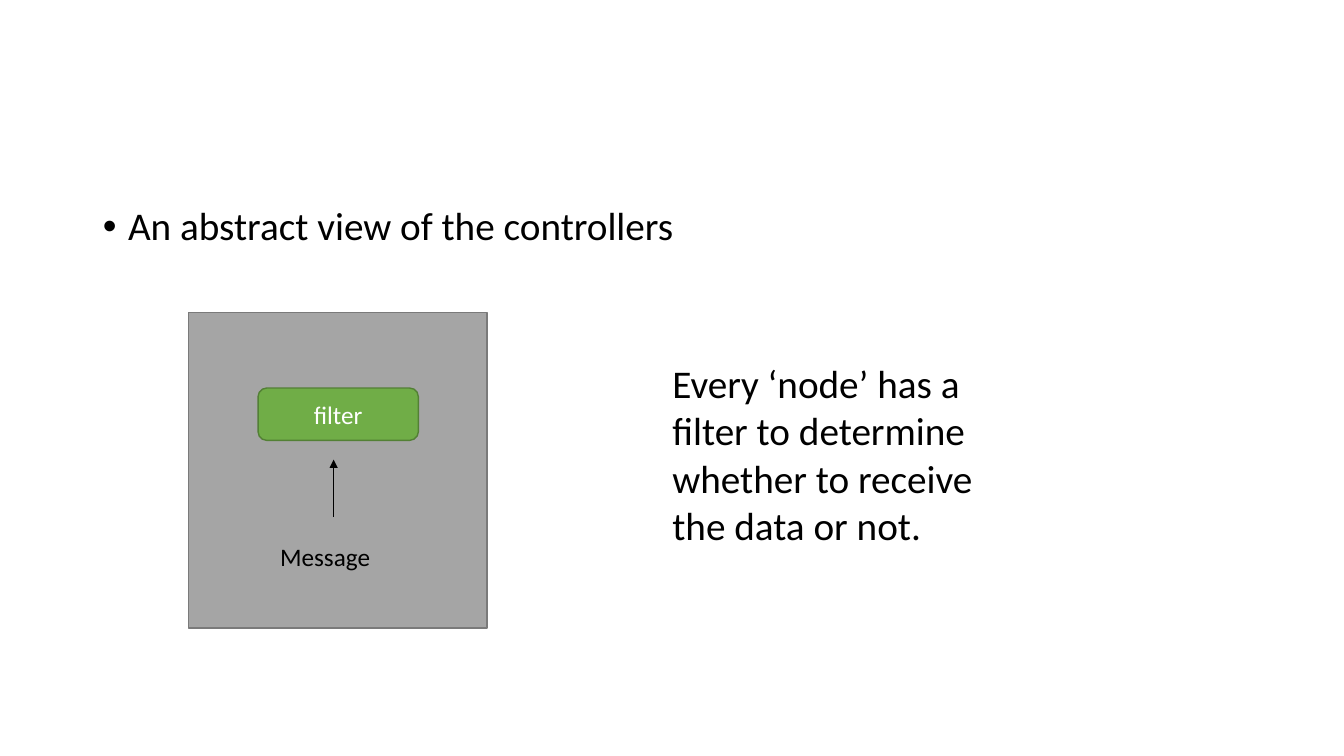
from dataclasses import dataclass

from lxml.etree import SubElement
from pptx import Presentation
from pptx.dml.color import RGBColor
from pptx.enum.shapes import MSO_CONNECTOR, MSO_SHAPE
from pptx.enum.text import MSO_ANCHOR, MSO_AUTO_SIZE, PP_ALIGN
from pptx.oxml.ns import qn
from pptx.slide import Slide
from pptx.text.text import TextFrame
from pptx.util import Inches, Pt

WIDE, HIGH = 13.33, 7.5
FONT = "Calibri"
HUES = {
    "ink": "000000",
    "pale": "FFFFFF",
    "node": "A5A5A5",
    "edge": "7A7A7A",
    "green": "70AD47",
    "rim": "538035",
}


@dataclass
class Area:
    left: float
    top: float
    width: float
    height: float

    def place(self) -> tuple[int, int, int, int]:
        return (across(self.left), down(self.top),
                across(self.width), down(self.height))


@dataclass
class Block:
    area: Area
    kind: MSO_SHAPE
    fill: str
    line: str
    text: str = ""


@dataclass
class Label:
    area: Area
    text: str
    size: int


BODY = Label(Area(6.9, 26.67, 86.27, 63.47),
             "An abstract view of the controllers", 28)
NODE = Block(Area(14.03, 41.33, 22.2, 41.73), MSO_SHAPE.RECTANGLE,
             "node", "edge")
FILTER = Block(Area(19.2, 51.33, 11.93, 6.93), MSO_SHAPE.ROUNDED_RECTANGLE,
               "green", "rim", "filter")
LABELS = [
    Label(Area(20.1, 70.93, 12.08, 5.33), "Message", 18),
    Label(Area(49.29, 46.93, 26.71, 30.53),
          "Every ‘node’ has a filter to determine whether to receive "
          "the data or not.", 28),
]


def across(share: float) -> int:
    return Inches(WIDE * share / 100)


def down(share: float) -> int:
    return Inches(HIGH * share / 100)


def color(name: str) -> RGBColor:
    return RGBColor.from_string(HUES[name])


def write(frame: TextFrame, text: str, size: int, hue: str = "ink") -> None:
    frame.text = text
    frame.word_wrap = True
    font = frame.paragraphs[0].runs[0].font
    font.name, font.size = FONT, Pt(size)
    font.color.rgb = color(hue)


def add_body(slide: Slide, label: Label) -> None:
    title = slide.shapes.title
    title.element.getparent().remove(title.element)
    body = slide.placeholders[1]
    body.left, body.top, body.width, body.height = label.area.place()
    frame = body.text_frame
    write(frame, label.text, label.size)
    frame.auto_size = MSO_AUTO_SIZE.NONE
    para = frame.paragraphs[0]
    para.line_spacing, para.space_before = 0.9, Pt(10)
    props = para._p.get_or_add_pPr()
    props.set("marL", str(Inches(0.25)))
    props.set("indent", str(-Inches(0.25)))
    SubElement(props, qn("a:buFont"), typeface="Arial")
    SubElement(props, qn("a:buChar"), char="•")


def add_block(slide: Slide, block: Block) -> None:
    shape = slide.shapes.add_shape(block.kind, *block.area.place())
    shape.shadow.inherit = False
    shape.fill.solid()
    shape.fill.fore_color.rgb = color(block.fill)
    shape.line.color.rgb = color(block.line)
    shape.line.width = Pt(1)
    if block.text:
        frame = shape.text_frame
        write(frame, block.text, 18, "pale")
        frame.vertical_anchor = MSO_ANCHOR.MIDDLE
        frame.paragraphs[0].alignment = PP_ALIGN.CENTER


def add_label(slide: Slide, label: Label) -> None:
    box = slide.shapes.add_textbox(*label.area.place())
    write(box.text_frame, label.text, label.size)
    box.text_frame.auto_size = MSO_AUTO_SIZE.SHAPE_TO_FIT_TEXT


def add_arrow(slide: Slide, left: float, start: float, end: float) -> None:
    arrow = slide.shapes.add_connector(
        MSO_CONNECTOR.STRAIGHT, across(left), down(start),
        across(left), down(end))
    arrow.line.color.rgb = color("ink")
    arrow.line.width = Pt(0.5)
    SubElement(arrow.line._get_or_add_ln(), qn("a:tailEnd"), type="triangle")
    SubElement(arrow._element.spPr, qn("a:effectLst"))


def main() -> None:
    deck = Presentation()
    deck.slide_width, deck.slide_height = Inches(WIDE), Inches(HIGH)
    slide = deck.slides.add_slide(deck.slide_layouts[1])
    add_body(slide, BODY)
    for block in (NODE, FILTER):
        add_block(slide, block)
    add_arrow(slide, 24.83, 68.4, 60.8)
    for label in LABELS:
        add_label(slide, label)
    deck.save("out.pptx")


if __name__ == "__main__":
    main()
